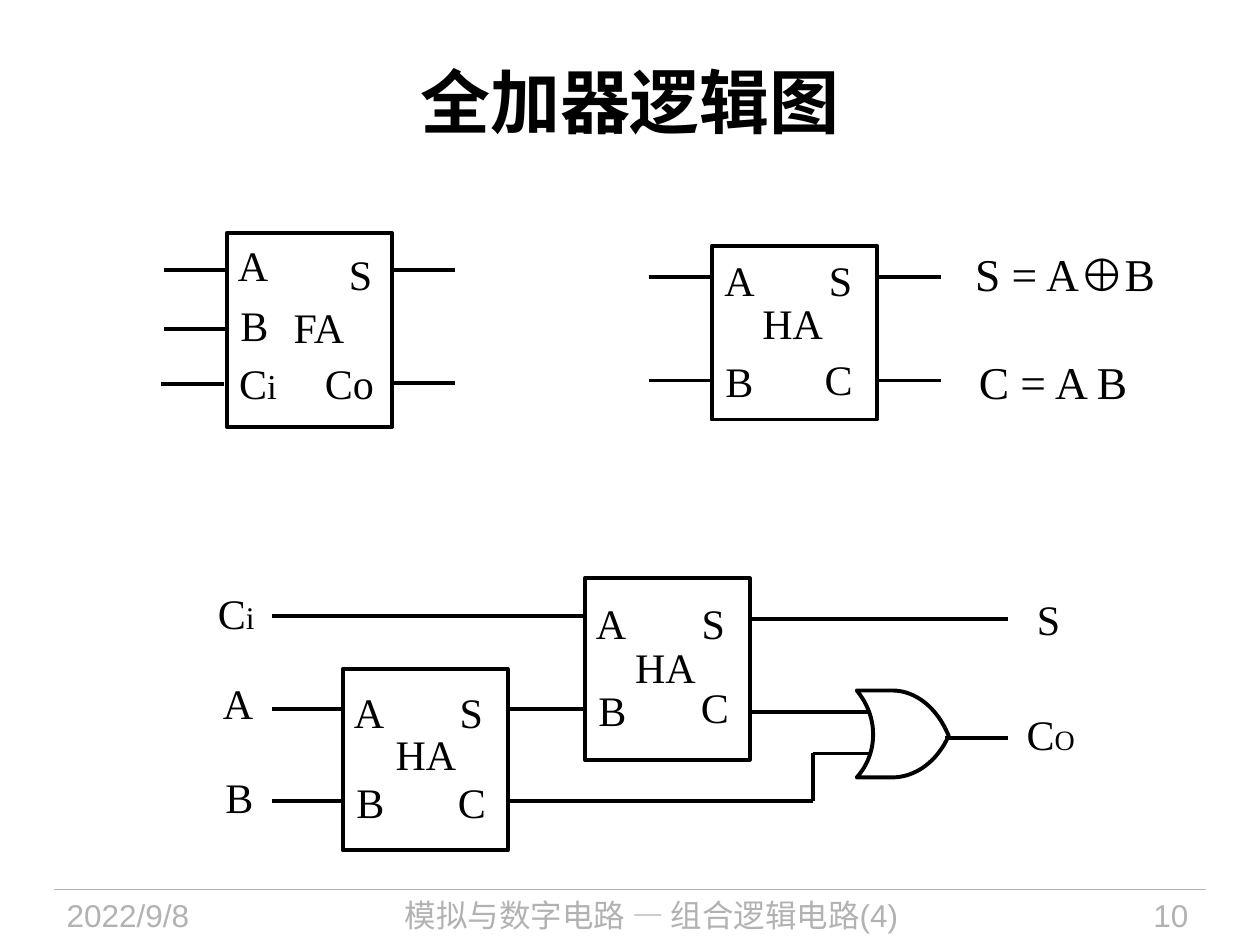
from lxml import etree
from pptx import Presentation
from pptx.dml.color import RGBColor
from pptx.enum.shapes import MSO_CONNECTOR, MSO_SHAPE
from pptx.enum.text import MSO_ANCHOR, MSO_AUTO_SIZE, PP_ALIGN
from pptx.oxml.ns import qn
from pptx.util import Inches, Pt

BLACK = RGBColor(0x00, 0x00, 0x00)
GRAY = RGBColor(0xB2, 0xB2, 0xB2)
LEFT, CENTER, RIGHT = PP_ALIGN.LEFT, PP_ALIGN.CENTER, PP_ALIGN.RIGHT
TOP, MIDDLE = MSO_ANCHOR.TOP, MSO_ANCHOR.MIDDLE
FIT, FIXED = MSO_AUTO_SIZE.SHAPE_TO_FIT_TEXT, MSO_AUTO_SIZE.NONE
STRAIGHT, RECTANGLE = MSO_CONNECTOR.STRAIGHT, MSO_SHAPE.RECTANGLE
SERIF, SANS = "Times New Roman", "Arial"

prs = Presentation()
prs.slide_width, prs.slide_height = Inches(10), Inches(7.5)
slide = prs.slides.add_slide(prs.slide_layouts[6])


def add_text(left, top, width, height, runs, align=LEFT, anchor=TOP,
             font=SERIF, color=BLACK, bold=False, fit=True, inset=True):
    box = slide.shapes.add_textbox(Inches(left), Inches(top), Inches(width), Inches(height))
    frame = box.text_frame
    frame.word_wrap = not fit
    frame.auto_size = FIT if fit else FIXED
    frame.vertical_anchor = anchor
    if not inset:
        frame.margin_left = frame.margin_right = frame.margin_top = frame.margin_bottom = 0
    paragraph = frame.paragraphs[0]
    paragraph.alignment = align
    for text, size in runs:
        run = paragraph.add_run()
        run.text = text
        run.font.name = font
        run.font.size = Pt(size)
        run.font.bold = bold
        run.font.color.rgb = color


def add_wire(x1, y1, x2, y2, color=BLACK, width=2.25):
    wire = slide.shapes.add_connector(STRAIGHT, Inches(x1), Inches(y1), Inches(x2), Inches(y2))
    wire.line.color.rgb = color
    wire.line.width = Pt(width)
    etree.SubElement(wire._element.spPr, qn("a:effectLst"))


add_wire(0.43, 7.06, 9.57, 7.06, GRAY, 0.75)
add_text(0.5, 0.17, 9, 1.25, [("全加器逻辑图", 40)], CENTER, MIDDLE, SANS, bold=True, fit=False)
for left, width, text, align in [
    (0.43, 1.88, "2022/9/8", LEFT),
    (2.49, 5.36, "模拟与数字电路 — 组合逻辑电路(4)", CENTER),
    (8.2, 1.33, "10", RIGHT),
]:
    add_text(left, 7.06, width, 0.44, [(text, 18)], align, font=SANS, color=GRAY, fit=False)

blocks = [
    (1.8, 1.85, 1.54, "FA", 2.33, 2.39, 0.41),
    (5.65, 1.95, 1.38, "HA", 6.05, 2.36, 0.5),
    (2.72, 5.31, 1.44, "HA", 3.14, 5.78, 0.51),
    (4.64, 4.59, 1.44, "HA", 5.04, 5.09, 0.51),
]
outlines = []
for left, top, height, name, name_left, name_top, name_width in blocks:
    outlines.append(slide.shapes.add_shape(
        RECTANGLE, Inches(left), Inches(top), Inches(1.31), Inches(height)))
    add_text(name_left, name_top, name_width, 0.4, [(name, 24)], anchor=MIDDLE, inset=False)

gate_curves = [
    [(7.08, 5.48), (7.27, 5.48), (7.44, 5.62), (7.53, 5.84)],
    [(7.53, 5.84), (7.44, 6.04), (7.27, 6.17), (7.08, 6.17)],
    [(6.8, 6.17), (6.89, 6.07), (6.93, 5.95), (6.93, 5.83)],
    [(6.93, 5.83), (6.93, 5.71), (6.89, 5.59), (6.8, 5.48)],
]
STEPS = 16
gate_points = []
for curve in gate_curves:
    for step in range(STEPS + 1):
        t = step / STEPS
        weights = ((1 - t) ** 3, 3 * t * (1 - t) ** 2, 3 * t ** 2 * (1 - t), t ** 3)
        gate_points.append(tuple(
            Inches(sum(w * point[axis] for w, point in zip(weights, curve))) for axis in (0, 1)))
or_gate = slide.shapes.build_freeform(*gate_points[0])
or_gate.add_line_segments(gate_points[1:], close=True)
outlines.append(or_gate.convert_to_shape())

for outline in outlines:
    outline.shadow.inherit = False
    outline.fill.background()
    outline.line.color.rgb = BLACK
    outline.line.width = Pt(2.25)

for x1, y1, x2, y2 in [
    (1.3, 2.14, 1.8, 2.14), (1.3, 2.61, 1.8, 2.61), (1.28, 3.05, 1.78, 3.05),
    (3.11, 2.14, 3.61, 2.14), (3.11, 3.04, 3.61, 3.04),
    (5.15, 2.2, 5.65, 2.2), (5.15, 3.02, 5.65, 3.02),
    (6.97, 2.2, 7.47, 2.2), (6.97, 3.02, 7.47, 3.02),
    (2.16, 4.89, 4.63, 4.89), (2.16, 5.63, 2.72, 5.63), (2.16, 6.36, 2.72, 6.36),
    (4.03, 5.63, 4.65, 5.63), (4.03, 6.36, 6.45, 6.36),
    (6.45, 6.36, 6.45, 5.98), (6.45, 5.98, 6.9, 5.98),
    (5.96, 4.91, 8, 4.91), (5.96, 5.65, 6.9, 5.65), (7.5, 5.86, 8, 5.86),
]:
    add_wire(x1, y1, x2, y2)

PIN_WIDTHS = {"A": 0.45, "B": 0.43, "C": 0.43, "S": 0.39, "Co": 0.61}
for pin, left, top in [
    ("A", 1.79, 1.85), ("B", 1.81, 2.33), ("S", 2.67, 1.92), ("Co", 2.48, 2.79),
    ("A", 5.65, 1.97), ("B", 5.66, 2.77), ("S", 6.48, 1.97), ("C", 6.44, 2.76),
    ("A", 2.71, 5.4), ("B", 2.73, 6.11), ("S", 3.55, 5.4), ("C", 3.53, 6.11),
    ("A", 4.63, 4.69), ("B", 4.65, 5.38), ("S", 5.47, 4.69), ("C", 5.46, 5.36),
    ("A", 1.67, 5.33), ("B", 1.69, 6.07), ("S", 8.13, 4.66),
]:
    add_text(left, top, PIN_WIDTHS[pin], 0.51, [(pin, 24)], CENTER if pin == "C" else LEFT)

for left, top, width, suffix, suffix_size in [
    (1.8, 2.79, 0.52, "i", 20),
    (1.63, 4.61, 0.52, "i", 18),
    (8.05, 5.57, 0.59, "O", 16),
]:
    add_text(left, top, width, 0.51, [("C", 24), (suffix, suffix_size)])

add_text(7.64, 1.9, 1.64, 0.54, [("S = A⊕B", 26)])
add_text(7.67, 2.76, 1.41, 0.54, [("C = A B", 26)])

prs.save("out.pptx")
